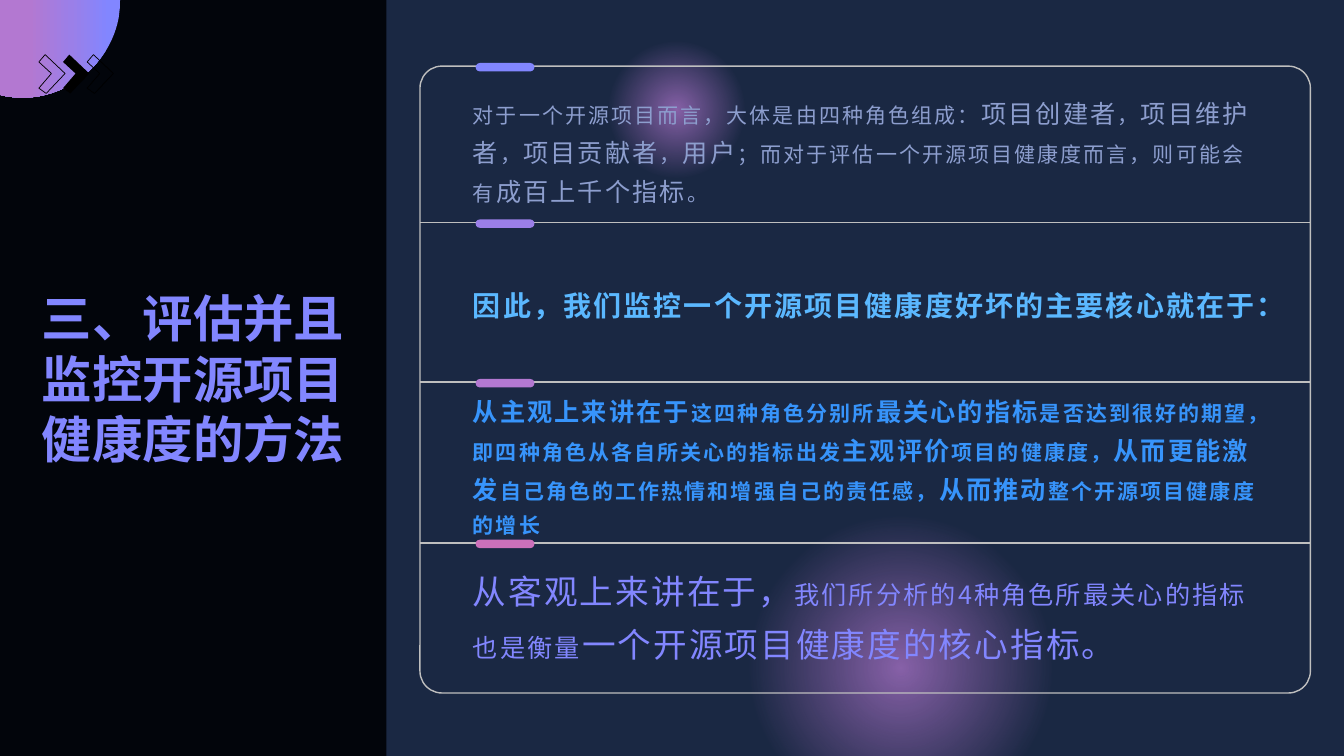
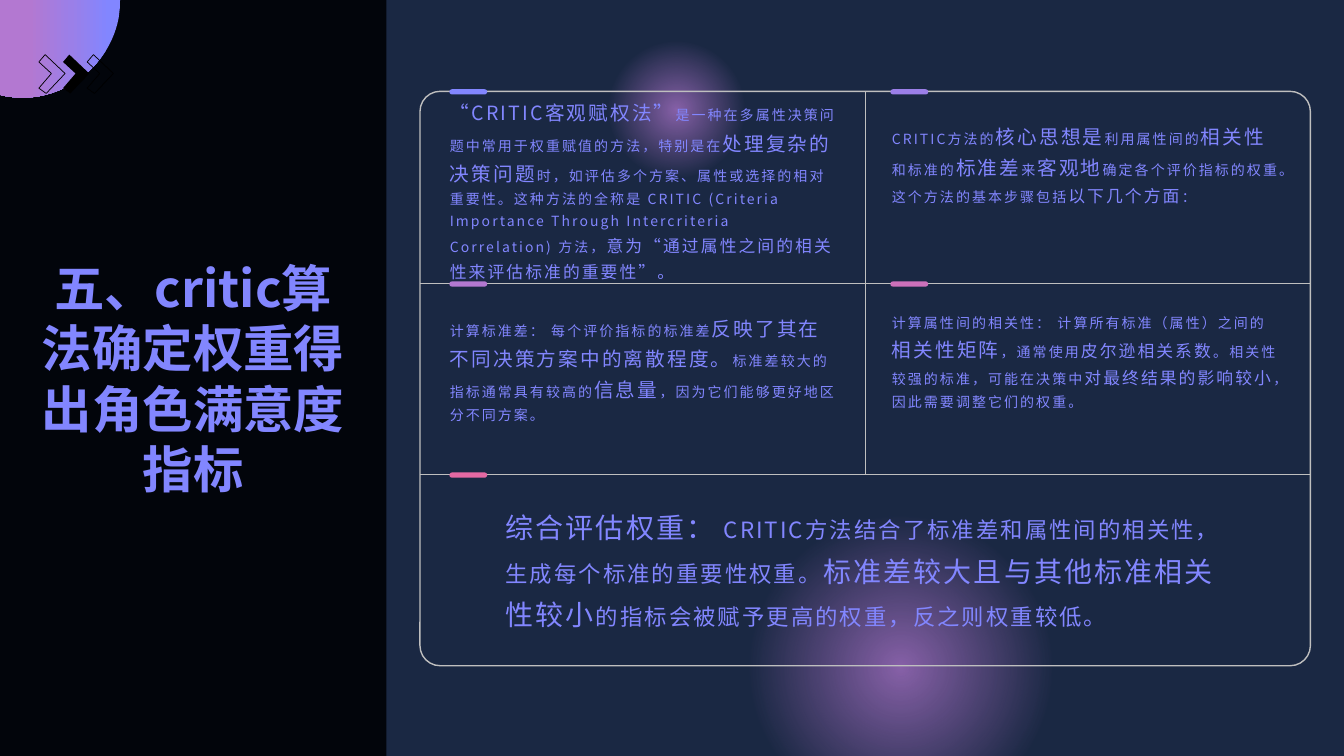
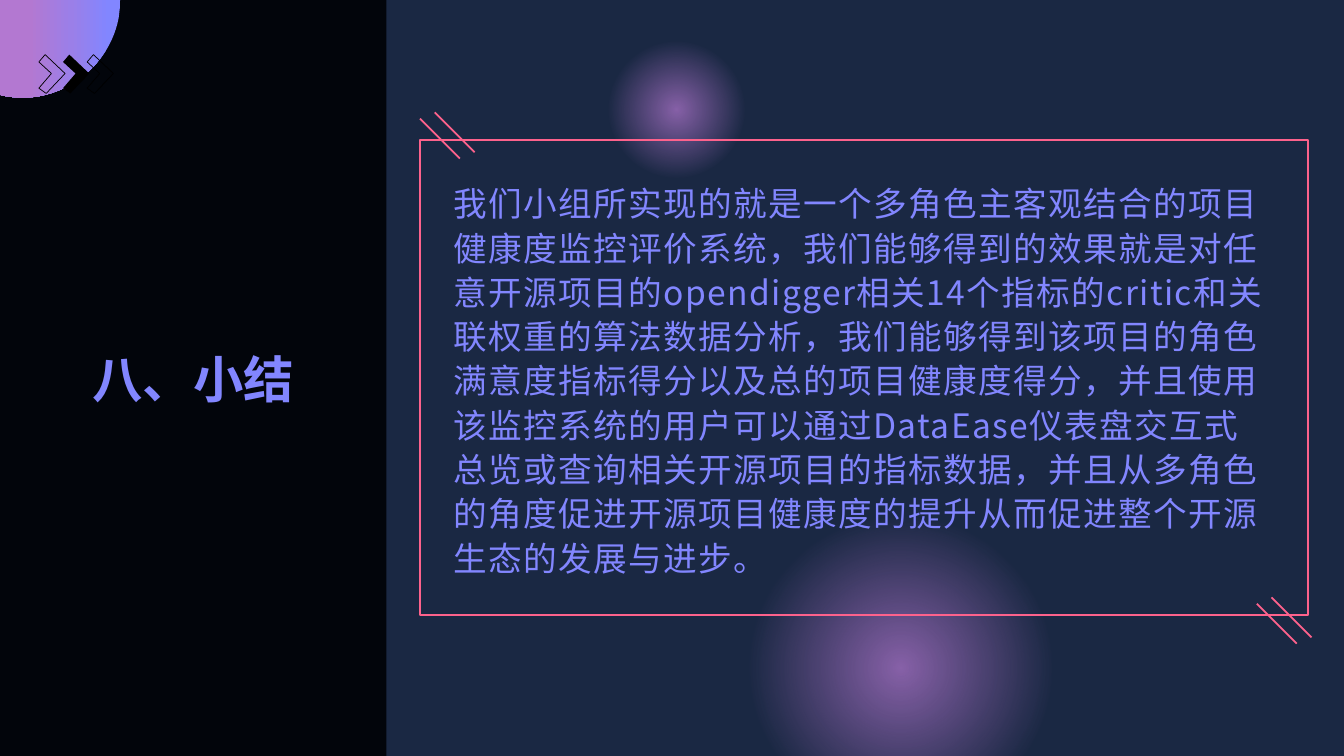
from dataclasses import dataclass
from typing import NamedTuple

from pptx import Presentation
from pptx.dml.color import RGBColor
from pptx.enum.shapes import MSO_CONNECTOR, MSO_SHAPE
from pptx.enum.text import MSO_ANCHOR, MSO_AUTO_SIZE, PP_ALIGN
from pptx.oxml import parse_xml
from pptx.oxml.ns import nsdecls, qn
from pptx.util import Pt

PX = 9525
NAVY = RGBColor(0x1A, 0x28, 0x43)
INK = RGBColor(0x02, 0x05, 0x0B)
BLACK = RGBColor(0, 0, 0)
GREY = RGBColor(0xBF, 0xBF, 0xBF)
MIST = RGBColor(0x8D, 0x9E, 0xCE)
SKY = RGBColor(0x5B, 0xB8, 0xFF)
BLUE = RGBColor(0x37, 0x94, 0xFB)
VIOLET = RGBColor(0x82, 0x86, 0xFF)
LAVENDER = RGBColor(0x9B, 0x7F, 0xE8)
ORCHID = RGBColor(0xB3, 0x78, 0xD1)
PINK = RGBColor(0xCC, 0x70, 0xBA)
ROSE = RGBColor(0xE4, 0x69, 0xA3)
CORAL = RGBColor(0xFD, 0x62, 0x8C)
GLOW = RGBColor(0x94, 0x7B, 0xDE)
FONT_JP = "Noto Sans CJK JP"
FONT_SC = "Noto Sans CJK SC"


class Area(NamedTuple):
    left: int
    top: int
    width: int
    height: int

    def emu(self):
        return [length * PX for length in self]


class Span(NamedTuple):
    size: int
    text: str


class Stop(NamedTuple):
    position: int
    color: RGBColor
    alpha: int = 100


class Pill(NamedTuple):
    area: Area
    color: RGBColor


@dataclass
class TextBlock:
    area: Area
    spans: list[Span]
    color: RGBColor = VIOLET
    font: str = FONT_JP
    bold: bool = False
    line_spacing: float = 1.3
    tracking: int = 150


TITLE_AREA = Area(32, 32, 304, 656)
PANEL_AREA = Area(0, 0, 368, 720)
GLOW_AREAS = [Area(566, 26, 156, 156), Area(661, 489, 394, 293)]
GLOW_STOPS = [Stop(0, GLOW), Stop(0, ORCHID, 71), Stop(59, ORCHID, 0)]
CORNER_STOPS = [Stop(10, VIOLET), Stop(41, LAVENDER), Stop(76, ORCHID)]
CORNER_CURVES = [
    [(113, 17), (105, 60), (66, 93), (21, 93)],
    [(21, 93), (14, 93), (9, 92), (2, 91)],
]
CHEVRON = [(6, 0), (25, 18), (7, 37), (0, 32), (12, 18), (0, 7)]
CHEVRON_LEFT, CHEVRON_TOP, CHEVRON_STEP = 37, 52, 23


def paint(shape, fill=None, line=None, weight: float = 1) -> None:
    shape.shadow.inherit = False
    if fill is None:
        shape.fill.background()
    else:
        shape.fill.solid()
        shape.fill.fore_color.rgb = fill
    if line is None:
        shape.line.fill.background()
    else:
        shape.line.color.rgb = line
        shape.line.width = Pt(weight)


def paint_gradient(shape, stops: list[Stop], direction: str) -> None:
    paint(shape)
    marks = "".join(
        f'<a:gs pos="{stop.position * 1000}"><a:srgbClr val="{stop.color}">'
        f'<a:alpha val="{stop.alpha * 1000}"/></a:srgbClr></a:gs>'
        for stop in stops
    )
    gradient = parse_xml(
        f'<a:gradFill {nsdecls("a")} rotWithShape="1"><a:gsLst>{marks}</a:gsLst>'
        f"{direction}</a:gradFill>"
    )
    properties = shape.element.find(qn("p:spPr"))
    properties.replace(properties.find(qn("a:noFill")), gradient)


def add_outline(shapes, points):
    scaled = [(round(x * PX), round(y * PX)) for x, y in points]
    builder = shapes.build_freeform(*scaled[0], scale=1.0)
    builder.add_line_segments(scaled[1:], close=True)
    return builder.convert_to_shape()


def curve_points(curve, steps: int = 24):
    for index in range(steps + 1):
        t = index / steps
        weights = [(1 - t) ** 3, 3 * t * (1 - t) ** 2, 3 * t * t * (1 - t), t ** 3]
        yield tuple(
            sum(weight * point[axis] for weight, point in zip(weights, curve))
            for axis in (0, 1)
        )


def add_rule(page, start, end, color=GREY, weight: float = 1):
    rule = page.shapes.add_connector(
        MSO_CONNECTOR.STRAIGHT, *[value * PX for value in (*start, *end)]
    )
    rule.line.color.rgb = color
    rule.line.width = Pt(weight)
    rule.element.find(qn("p:spPr")).append(parse_xml(f'<a:effectLst {nsdecls("a")}/>'))
    return rule


def add_frame(page, area: Area):
    frame = page.shapes.add_shape(MSO_SHAPE.ROUNDED_RECTANGLE, *area.emu())
    frame.adjustments[0] = 0.035
    paint(frame, line=GREY)
    return frame


def add_pills(page, pills: list[Pill]) -> None:
    for pill in pills:
        shape = page.shapes.add_shape(MSO_SHAPE.ROUNDED_RECTANGLE, *pill.area.emu())
        shape.adjustments[0] = 0.5
        paint(shape, fill=pill.color)


def write_spans(box, block: TextBlock) -> None:
    frame = box.text_frame
    frame.word_wrap = True
    frame.auto_size = MSO_AUTO_SIZE.NONE
    para = frame.paragraphs[0]
    para.line_spacing = block.line_spacing
    for part in block.spans:
        span = para.add_run()
        span.text = part.text
        span.font.size = Pt(part.size)
        span.font.name = block.font
        span.font.bold = block.bold
        span.font.color.rgb = block.color
    for properties in box.element.iter(qn("a:rPr")):
        properties.set("lang", "zh-CN")
        properties.set("spc", str(block.tracking))
        properties.append(parse_xml(f'<a:ea {nsdecls("a")} typeface="{block.font}"/>'))


def add_text(page, block: TextBlock):
    box = page.shapes.add_textbox(*block.area.emu())
    write_spans(box, block)
    return box


def set_insets(box, horizontal: int, vertical: int) -> None:
    frame = box.text_frame
    frame.margin_left = frame.margin_right = horizontal * PX
    frame.margin_top = frame.margin_bottom = vertical * PX
    frame.vertical_anchor = MSO_ANCHOR.MIDDLE


def add_title(page, text: str) -> None:
    title = page.shapes.title
    title.left, title.top, title.width, title.height = TITLE_AREA.emu()
    write_spans(
        title,
        TextBlock(TITLE_AREA, [Span(36, text)], bold=True, line_spacing=1.0, tracking=0),
    )
    set_insets(title, 0, 0)
    title.text_frame.paragraphs[0].alignment = PP_ALIGN.CENTER
    title.element.getparent().append(title.element)


def add_page(deck, title: str):
    page = deck.slides.add_slide(deck.slide_layouts[5])
    page.background.fill.solid()
    page.background.fill.fore_color.rgb = NAVY
    for area in GLOW_AREAS:
        glow = page.shapes.add_shape(MSO_SHAPE.OVAL, *area.emu())
        paint_gradient(
            glow,
            GLOW_STOPS,
            '<a:path path="circle"><a:fillToRect l="50000" t="50000" r="50000" b="50000"/></a:path>',
        )
    panel = page.shapes.add_shape(MSO_SHAPE.RECTANGLE, *PANEL_AREA.emu())
    paint(panel, fill=INK)
    arc = [point for curve in CORNER_CURVES for point in curve_points(curve)]
    corner = add_outline(page.shapes, [(0, 0), (115, 0), *arc, (0, 90)])
    paint_gradient(corner, CORNER_STOPS, '<a:lin ang="10800000" scaled="0"/>')
    chevrons = page.shapes.add_group_shape()
    for index in range(3):
        left = CHEVRON_LEFT + index * CHEVRON_STEP
        chevron = add_outline(
            chevrons.shapes, [(left + x, CHEVRON_TOP + y) for x, y in CHEVRON]
        )
        if index == 1:
            paint(chevron, fill=BLACK)
        else:
            paint(chevron, line=BLACK, weight=0.5)
    add_title(page, title)
    return page


def build_method_page(deck) -> None:
    page = add_page(deck, "三、评估并且监控开源项目健康度的方法")
    frame = Area(400, 63, 848, 597)
    dividers = [212, 364, 517]
    add_frame(page, frame)
    for y in dividers:
        add_rule(page, (frame.left, y), (frame.left + frame.width, y))
    add_pills(page, [
        Pill(Area(453, y - 3, 56, 8), color)
        for y, color in zip([frame.top, *dividers], [VIOLET, LAVENDER, ORCHID, PINK])
    ])
    blocks = [
        TextBlock(Area(441, 80, 767, 118), [
            Span(15, "对于一个开源项目而言，大体是由四种角色组成："),
            Span(18, "项目创建者"),
            Span(15, "，"),
            Span(18, "项目维护者"),
            Span(15, "，"),
            Span(18, "项目贡献者"),
            Span(15, "，"),
            Span(18, "用户"),
            Span(15, "；而对于评估一个开源项目健康度而言，则可能会有"),
            Span(18, "成百上千个指标"),
            Span(15, "。"),
        ], color=MIST),
        TextBlock(Area(441, 260, 767, 57), [
            Span(20, "因此，我们监控一个开源项目健康度好坏的主要核心就在于："),
        ], color=SKY, font=FONT_SC, bold=True),
        TextBlock(Area(441, 364, 767, 118), [
            Span(18, "从主观上来讲在于"),
            Span(15, "这四种角色分别所"),
            Span(18, "最关心的指标"),
            Span(15, "是否达到很好的期望，即四种角色从各自所关心的指标出发"),
            Span(18, "主观评价"),
            Span(15, "项目的健康度，"),
            Span(18, "从而更能激发"),
            Span(15, "自己角色的工作热情和增强自己的责任感，"),
            Span(18, "从而推动"),
            Span(15, "整个开源项目健康度的增长"),
        ], color=BLUE, font=FONT_SC, bold=True),
        TextBlock(Area(441, 528, 767, 118), [
            Span(24, "从客观上来讲在于，"),
            Span(18, "我们所分析的4种角色所最关心的指标也是衡量"),
            Span(24, "一个开源项目健康度的核心指标。"),
        ]),
    ]
    for block in blocks:
        add_text(page, block)


def build_critic_page(deck) -> None:
    page = add_page(deck, "五、critic算法确定权重得出角色满意度指标")
    area = Area(400, 87, 848, 547)
    middle, bottom = 270, 452
    center = area.left + area.width // 2
    frame = add_frame(page, area)
    for y in (middle, bottom):
        add_rule(page, (area.left, y), (area.left + area.width, y))
    column_rule = add_rule(page, (center, area.top), (center, bottom), weight=0.5)
    column_rule.begin_connect(frame, 0)
    marks = [
        (428, area.top, VIOLET),
        (848, area.top, LAVENDER),
        (428, middle, ORCHID),
        (848, middle, PINK),
        (428, bottom, ROSE),
    ]
    add_pills(page, [Pill(Area(x, y - 2, 36, 5), color) for x, y, color in marks])
    blocks = [
        TextBlock(Area(419, 85, 388, 145), [
            Span(14, "“CRITIC客观赋权法”"),
            Span(10, "是一种在多属性决策问题中常用于权重赋值的方法，特别是在"),
            Span(14, "处理复杂的决策问题"),
            Span(10, "时，如评估多个方案、属性或选择的相对重要性。这种方法的全称是 CRITIC "
                     "(Criteria Importance Through Intercriteria Correlation) 方法，"),
            Span(12, "意为“通过属性之间的相关性来评估标准的重要性”。"),
        ]),
        TextBlock(Area(840, 108, 388, 145), [
            Span(10, "CRITIC方法的"),
            Span(14, "核心思想是"),
            Span(10, "利用属性间的"),
            Span(14, "相关性"),
            Span(10, "和标准的"),
            Span(14, "标准差"),
            Span(10, "来"),
            Span(14, "客观地"),
            Span(10, "确定各个评价指标的权重。这个方法的基本步骤包括"),
            Span(12, "以下几个方面"),
            Span(10, "："),
        ]),
        TextBlock(Area(419, 290, 388, 145), [
            Span(10, "计算标准差： 每个评价指标的标准差"),
            Span(14, "反映了其在不同决策方案中的离散程度。"),
            Span(10, "标准差较大的指标通常具有较高的"),
            Span(14, "信息量"),
            Span(10, "，因为它们能够更好地区分不同方案。"),
        ]),
        TextBlock(Area(840, 290, 388, 145), [
            Span(10, "计算属性间的相关性： 计算所有标准（属性）之间的"),
            Span(14, "相关性矩阵"),
            Span(10, "，通常使用"),
            Span(12, "皮尔逊相关系数"),
            Span(10, "。相关性较强的标准，可能在决策中"),
            Span(12, "对最终结果的影响较小"),
            Span(10, "，因此需要调整它们的权重。"),
        ]),
        TextBlock(Area(472, 472, 703, 139), [
            Span(20, "综合评估权重："),
            Span(16, " CRITIC方法结合了标准差和属性间的相关性，生成每个标准的重要性权重。"),
            Span(20, "标准差较大且与其他标准相关性较小"),
            Span(16, "的指标会被赋予更高的权重，反之则权重较低。"),
        ]),
    ]
    for block in blocks:
        add_text(page, block)


def build_summary_page(deck) -> None:
    page = add_page(deck, "八、小结")
    frame = page.shapes.add_shape(MSO_SHAPE.RECTANGLE, *Area(400, 133, 846, 453).emu())
    paint(frame, line=CORAL, weight=1.5)
    for shift_x, shift_y in ((0, 0), (797, 462)):
        for x, y in ((414, 107), (400, 113)):
            left, top = x + shift_x, y + shift_y
            add_rule(page, (left, top), (left + 38, top + 38), CORAL, 1.25)
    box = add_text(page, TextBlock(Area(425, 156, 795, 409), [
        Span(24, "我们小组所实现的就是一个多角色主客观结合的项目健康度监控评价系统，"
                 "我们能够得到的效果就是对任意开源项目的opendigger相关14个指标的critic"
                 "和关联权重的算法数据分析，我们能够得到该项目的角色满意度指标得分以及"
                 "总的项目健康度得分，并且使用该监控系统的用户可以通过DataEase仪表盘"
                 "交互式总览或查询相关开源项目的指标数据，并且从多角色的角度促进开源项目"
                 "健康度的提升从而促进整个开源生态的发展与进步。"),
    ], line_spacing=1.1, tracking=100))
    set_insets(box, 7, 3)
    box.text_frame.paragraphs[0].space_after = Pt(8)


def main() -> None:
    deck = Presentation()
    deck.slide_width, deck.slide_height = 1280 * PX, 720 * PX
    build_method_page(deck)
    build_critic_page(deck)
    build_summary_page(deck)
    deck.save("out.pptx")


if __name__ == "__main__":
    main()
